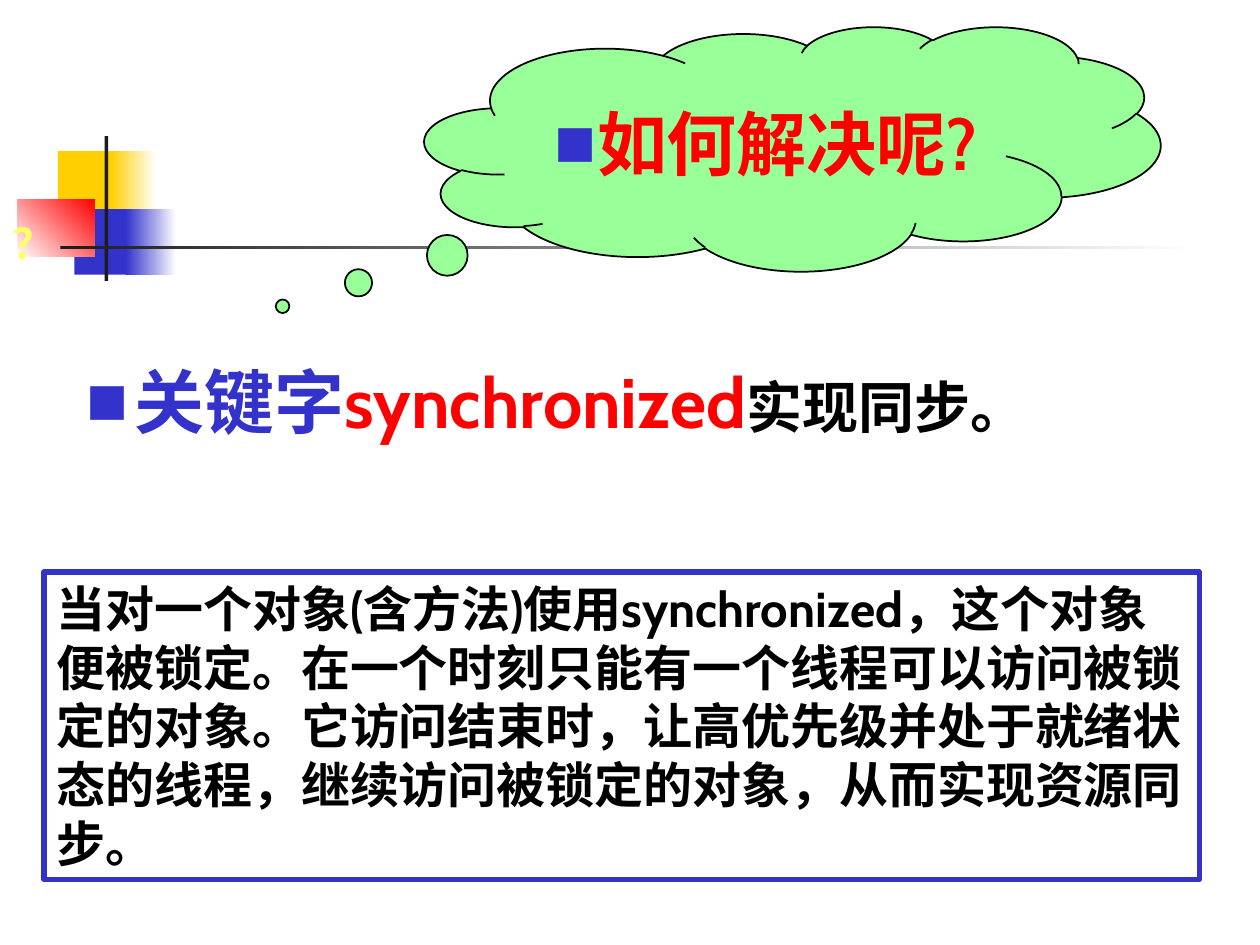
"""Build the slide that introduces the synchronized keyword."""
from lxml.etree import SubElement
from pptx import Presentation
from pptx.dml.color import RGBColor
from pptx.enum.shapes import MSO_SHAPE as Shape
from pptx.enum.text import MSO_ANCHOR as Anchor, MSO_AUTO_SIZE as AutoSize, PP_ALIGN as Align
from pptx.oxml.ns import qn
from pptx.util import Emu, Pt

PX = 9144
BLACK = RGBColor(0, 0, 0)
WHITE = RGBColor(0xFF, 0xFF, 0xFF)
CHARCOAL = RGBColor(0x1C, 0x1C, 0x1C)
GOLD = RGBColor(0xFF, 0xCF, 0x01)
BLUE = RGBColor(0x33, 0x33, 0xCC)
RED = RGBColor(0xFF, 0, 0)
GREEN = RGBColor(0x99, 0xFF, 0x99)
YELLOW = RGBColor(0xFF, 0xFF, 0x66)
LATIN = "Cabin"
CHINESE = "Noto Sans CJK SC"


def add_box(kind, bounds, colors, angle=0):
    shape = slide.shapes.add_shape(kind, *(Emu(value * PX) for value in bounds))
    shape.shadow.inherit = False
    shape.line.fill.background()
    if len(colors) == 2:
        shape.fill.gradient()
        shape.fill.gradient_angle = angle
        for stop, color in zip(shape.fill.gradient_stops, colors):
            stop.color.rgb = color
    elif colors:
        shape.fill.solid()
        shape.fill.fore_color.rgb = colors[0]
    else:
        shape.fill.background()
    return shape


def style_font(font, name, size, color):
    font.size = Pt(size)
    font.bold = True
    font.color.rgb = color
    font.name = name
    SubElement(font._element, qn("a:ea"), typeface=name)


presentation = Presentation()
presentation.slide_width = Emu(1000 * PX)
presentation.slide_height = Emu(750 * PX)
slide = presentation.slides.add_slide(presentation.slide_layouts[6])

for bounds, colors, angle in [
    ((46, 120, 48, 52), [GOLD], 0),
    ((88, 120, 36, 52), [GOLD, WHITE], 0),
    ((59, 166, 46, 52), [BLUE], 0),
    ((100, 166, 40, 52), [BLUE, WHITE], 0),
    ((14, 158, 61, 46), [WHITE, RED], 45),
    ((83, 108, 3, 115), [CHARCOAL], 0),
    ((48, 195, 900, 3), [CHARCOAL, WHITE], 0),
]:
    add_box(Shape.RECTANGLE, bounds, colors, angle)

keyword = add_box(Shape.RECTANGLE, (59, 280, 874, 102), [WHITE])
cloud = add_box(Shape.CLOUD_CALLOUT, (337, 21, 584, 194), [GREEN])
cloud.adjustments[0] = -0.693
cloud.adjustments[1] = 0.645
cloud.line.color.rgb = BLACK
cloud.line.width = Pt(1)
question = slide.shapes.add_textbox(0, 168 * PX, 212 * PX, 78 * PX)
explanation = add_box(Shape.RECTANGLE, (35, 454, 917, 244), [])
explanation.line.color.rgb = BLUE
explanation.line.width = Pt(3)

for shape, anchor, align, wrap in [
    (keyword, Anchor.TOP, Align.LEFT, True),
    (cloud, Anchor.MIDDLE, Align.CENTER, False),
    (question, Anchor.TOP, Align.LEFT, False),
    (explanation, Anchor.TOP, Align.LEFT, True),
]:
    shape.text_frame.vertical_anchor = anchor
    shape.text_frame.word_wrap = wrap
    shape.text_frame.paragraphs[0].alignment = align
explanation.text_frame.auto_size = AutoSize.SHAPE_TO_FIT_TEXT

for shape, indent in [(keyword, 38), (cloud, 0)]:
    properties = shape.text_frame.paragraphs[0]._p.get_or_add_pPr()
    properties.set("marL", str(indent * PX))
    properties.set("indent", str(-indent * PX))
    SubElement(SubElement(properties, qn("a:buClr")), qn("a:srgbClr"), val=str(BLUE))
    SubElement(properties, qn("a:buSzPct"), val="60000")
    SubElement(properties, qn("a:buFont"), typeface=CHINESE)
    SubElement(properties, qn("a:buChar"), char="■")

for text, name, size, color in [
    ("关键字", CHINESE, 40, BLUE),
    ("synchronized", LATIN, 40, RED),
    ("实现同步。", CHINESE, 32, BLACK),
]:
    run = keyword.text_frame.paragraphs[0].add_run()
    run.text = text
    style_font(run.font, name, size, color)

for shape, text, name, size, color in [
    (cloud, "如何解决呢?", LATIN, 40, RED),
    (question, "？", CHINESE, 24, YELLOW),
    (explanation, "当对一个对象(含方法)使用synchronized，这个对象便被锁定。"
     "在一个时刻只能有一个线程可以访问被锁定的对象。它访问结束时，"
     "让高优先级并处于就绪状态的线程，继续访问被锁定的对象，从而实现资源同步。",
     LATIN, 28, BLACK),
]:
    paragraph = shape.text_frame.paragraphs[0]
    paragraph.add_run().text = text
    style_font(paragraph.font, name, size, color)

presentation.save("out.pptx")
